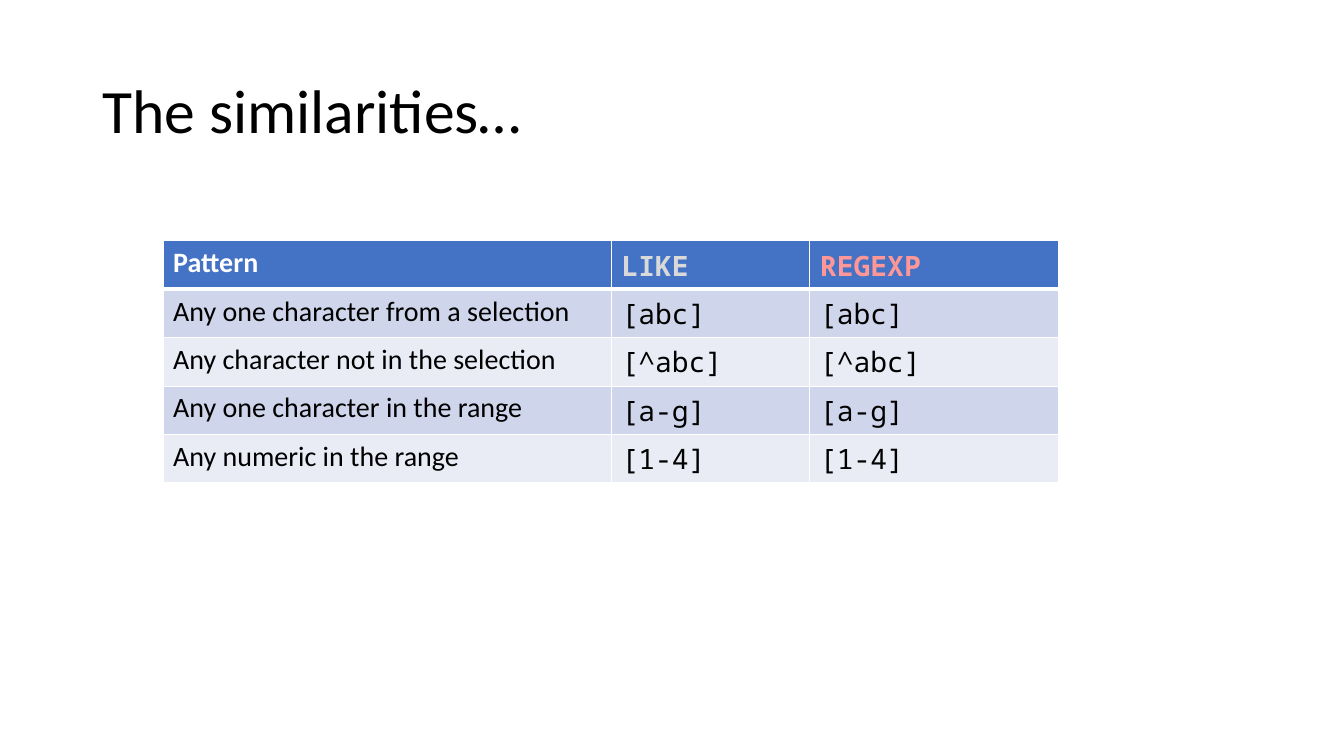
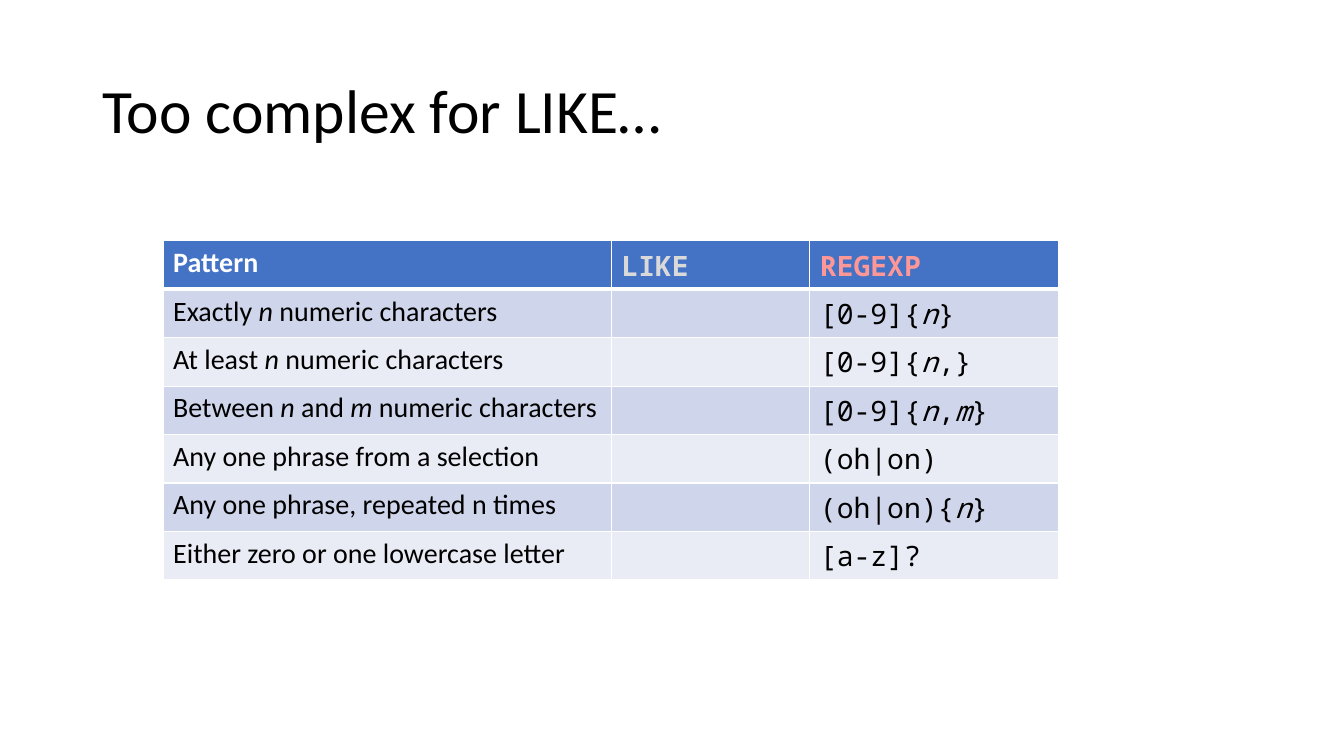
from pptx import Presentation
from pptx.dml.color import RGBColor as Rgb
from pptx.enum.text import MSO_ANCHOR as Anchor
from pptx.oxml import parse_xml
from pptx.oxml.ns import nsdecls
from pptx.util import Cm, Pt

HUES = {
    "ink": "000000", "paper": "FFFFFF", "head": "4472C4", "odd": "CFD5EA",
    "even": "E9EBF5", "like": "D9D9D9", "regexp": "FF9797",
}
SANS, MONO = "Calibri", "Noto Sans Mono"
FONTS = [SANS, MONO, MONO]
TITLE = {"name": SANS, "size": Pt(44)}
CELL = {"size": Pt(20)}
WIDTHS = [11.3, 5, 6.27]
ROW = 1.22
HEAD = ["Pattern", "LIKE", "REGEXP"]
TINTS = ["paper", "like", "regexp"]
TITLE_BOX = (2.33, 1.02, 29.21, 3.68)
TABLE_AT = (4.11, 6.07)

SLIDES = [
    ("The similarities…", [
        ["Any one character from a selection", "[abc]", "[abc]"],
        ["Any character not in the selection", "[^abc]", "[^abc]"],
        ["Any one character in the range", "[a-g]", "[a-g]"],
        ["Any numeric in the range", "[1-4]", "[1-4]"],
    ]),
    ("Too complex for LIKE…", [
        ["Exactly *n* numeric characters", "", "[0-9]{*n*}"],
        ["At least *n* numeric characters", "", "[0-9]{*n*,}"],
        ["Between *n* and *m* numeric characters", "", "[0-9]{*n*,*m*}"],
        ["Any one phrase from a selection", "", "(oh|on)"],
        ["Any one phrase, repeated n times", "", "(oh|on){*n*}"],
        ["Either zero or one lowercase letter", "", "[a-z]?"],
    ]),
]


def style(font, hue, form):
    for key, value in form.items():
        setattr(font, key, value)
    font.color.rgb = Rgb.from_string(HUES[hue])


def write(para, text, hue, form):
    for pos, part in enumerate(text.split("*")):
        if part:
            run = para.add_run()
            run.text = part
            style(run.font, hue, form | {"italic": pos % 2 == 1})


def edge(cell, row):
    widths = {"L": 1, "R": 1, "T": 3 if row == 1 else 1, "B": 3 if row == 0 else 1}
    props = cell._tc.get_or_add_tcPr()
    for pos, (side, width) in enumerate(widths.items()):
        props.insert(pos, parse_xml(
            f'<a:ln{side} {nsdecls("a")} w="{Pt(width)}"><a:solidFill>'
            f'<a:srgbClr val="{HUES["paper"]}"/></a:solidFill></a:ln{side}>'))


def add_title(slide, box, text):
    frame = slide.shapes.add_textbox(*map(Cm, box)).text_frame
    frame.word_wrap = True
    frame.vertical_anchor = Anchor.MIDDLE
    para = frame.paragraphs[0]
    para.line_spacing = 0.9
    write(para, text, "ink", TITLE)


def add_grid(slide, spot, body):
    rows = [HEAD] + body
    size = (sum(WIDTHS), ROW * len(rows))
    table = slide.shapes.add_table(
        len(rows), len(WIDTHS), *map(Cm, spot + size)).table
    for col, width in zip(table.columns, WIDTHS):
        col.width = Cm(width)
    for r, texts in enumerate(rows):
        table.rows[r].height = Cm(ROW)
        band = "head" if r == 0 else "odd" if r % 2 else "even"
        for c, text in enumerate(texts):
            cell = table.cell(r, c)
            cell.fill.solid()
            cell.fill.fore_color.rgb = Rgb.from_string(HUES[band])
            edge(cell, r)
            form = CELL | {"name": FONTS[c], "bold": r == 0}
            hue = "ink" if r else TINTS[c]
            write(cell.text_frame.paragraphs[0], text, hue, form)


def main():
    deck = Presentation()
    deck.slide_width, deck.slide_height = Cm(33.87), Cm(19.05)
    for title, body in SLIDES:
        slide = deck.slides.add_slide(deck.slide_layouts[6])
        add_title(slide, TITLE_BOX, title)
        add_grid(slide, TABLE_AT, body)
    deck.save("out.pptx")


if __name__ == "__main__":
    main()
